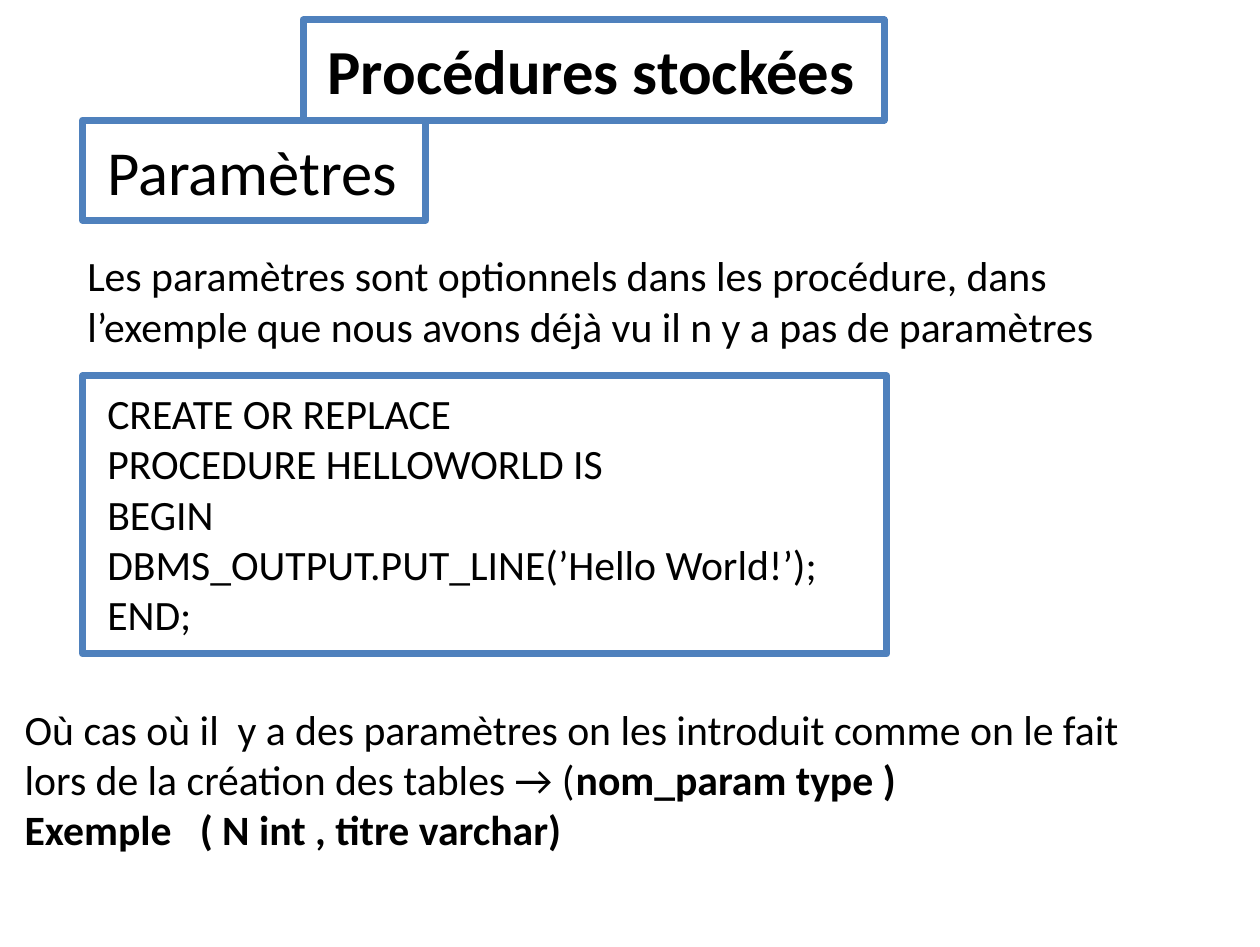
from pptx import Presentation
from pptx.dml.color import RGBColor
from pptx.enum.shapes import MSO_SHAPE
from pptx.enum.text import MSO_ANCHOR, MSO_AUTO_SIZE, PP_ALIGN
from pptx.util import Pt

PX = 9144  # EMU per px, 100 px to the inch
FONT = "Calibri"
COLORS = {"text": "000000", "fill": "FFFFFF", "line": "4F81BD"}


def color(name):
    return RGBColor.from_string(COLORS[name])


def write(shape, lines, size, wrap):
    """Fill a shape with lines, each a list of (text, bold) runs."""
    frame = shape.text_frame
    frame.word_wrap = wrap
    frame.auto_size = MSO_AUTO_SIZE.SHAPE_TO_FIT_TEXT
    frame.vertical_anchor = MSO_ANCHOR.TOP
    for i, runs in enumerate(lines):
        para = frame.add_paragraph() if i else frame.paragraphs[0]
        para.alignment = PP_ALIGN.LEFT
        for text, bold in runs:
            run = para.add_run()
            run.text = text
            font = run.font
            font.name, font.size, font.bold = FONT, Pt(size), bold
            font.color.rgb = color("text")


def add_frame(slide, area, lines, size=12, wrap=True):
    """Add a framed box with text."""
    box = slide.shapes.add_shape(MSO_SHAPE.RECTANGLE, *(n * PX for n in area))
    box.shadow.inherit = False
    box.fill.solid()
    box.fill.fore_color.rgb = color("fill")
    box.line.color.rgb = color("line")
    box.line.width = Pt(2)
    write(box, lines, size, wrap)


def add_note(slide, area, lines):
    """Add plain text without a frame."""
    box = slide.shapes.add_textbox(*(n * PX for n in area))
    write(box, lines, 12, True)


def main():
    deck = Presentation()
    deck.slide_width, deck.slide_height = 503 * PX, 378 * PX
    slide = deck.slides.add_slide(deck.slide_layouts[6])

    # Section heading and introduction
    add_frame(slide, (33, 48, 137, 40), [[("Paramètres", False)]], 18, False)
    add_note(slide, (25, 95, 461, 50), [[(
        "Les paramètres sont optionnels dans les procédure, dans "
        "l’exemple que nous avons déjà vu il n y a pas de paramètres", False)]])

    # Code sample
    code = [
        "CREATE OR REPLACE",
        "PROCEDURE HELLOWORLD IS",
        "BEGIN",
        "DBMS_OUTPUT.PUT_LINE(’Hello World!’);",
        "END;",
    ]
    add_frame(slide, (33, 150, 321, 111), [[(line, False)] for line in code])

    # Slide title
    add_frame(slide, (121, 8, 232, 40), [[("Procédures stockées", True)]], 18, False)

    # Closing explanation
    add_note(slide, (0, 276, 461, 71), [
        [("Où cas où il  y a des paramètres on les introduit comme on le fait "
          "lors de la création des tables → (", False),
         ("nom_param type )", True)],
        [("Exemple   ( N int , titre varchar)", True)],
    ])

    deck.save("out.pptx")


if __name__ == "__main__":
    main()
